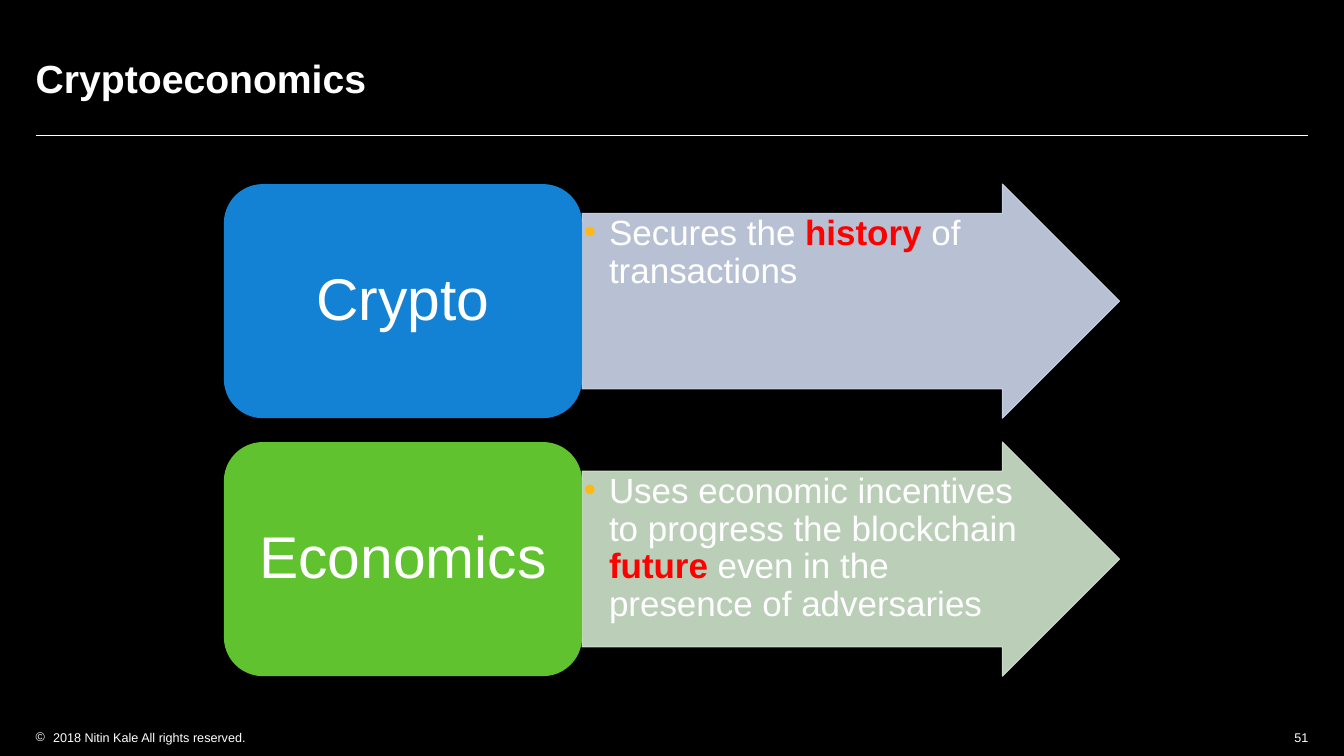
from lxml.etree import SubElement
from pptx import Presentation
from pptx.dml.color import RGBColor
from pptx.enum.shapes import MSO_CONNECTOR, MSO_SHAPE as Preset
from pptx.enum.text import MSO_ANCHOR as Anchor, PP_ALIGN as Align
from pptx.oxml.ns import qn
from pptx.util import Pt

COLORS = {
    "background": "000000",
    "text": "FFFFFF",
    "keyword": "FF0000",
    "bullet": "FDB913",
    "crypto": "1482D4",
    "crypto_arrow": "CCD6EC",
    "economics": "5FC22E",
    "economics_arrow": "D0E6CD",
}
# name, colour key, text before the keyword, keyword, text after it
CONCEPTS = [
    ("Crypto", "crypto", "Secures the ", "history", " of transactions"),
    ("Economics", "economics",
     "Uses economic incentives to progress the blockchain ", "future",
     " even in the presence of adversaries"),
]
WIDTH, HEIGHT, MARGIN = 960.5, 540, 25.5


def rgb(key):
    return RGBColor.from_string(COLORS[key])


def style_run(run, size, color="text", bold=False):
    run.font.name = "Arial"
    run.font.size = Pt(size)
    run.font.bold = bold
    run.font.color.rgb = rgb(color)


def set_frame(frame, anchor, inset_x=0, inset_y=0):
    frame.word_wrap = True
    frame.vertical_anchor = anchor
    frame.margin_left = frame.margin_right = Pt(inset_x)
    frame.margin_top = frame.margin_bottom = Pt(inset_y)


def add_bullet(paragraph, char, color, indent):
    props = paragraph._p.get_or_add_pPr()
    props.set("marL", str(Pt(indent)))
    props.set("indent", str(-Pt(indent)))
    SubElement(SubElement(props, qn("a:buClr")), qn("a:srgbClr"), val=COLORS[color])
    SubElement(props, qn("a:buFont"), typeface="Arial")
    SubElement(props, qn("a:buChar"), char=char)


def add_text(slide, left, top, width, height, text, size, bold=False,
             align=Align.LEFT, anchor=Anchor.TOP):
    frame = slide.shapes.add_textbox(Pt(left), Pt(top), Pt(width), Pt(height)).text_frame
    set_frame(frame, anchor)
    paragraph = frame.paragraphs[0]
    paragraph.text = text
    paragraph.alignment = align
    style_run(paragraph.runs[0], size, bold=bold)
    return paragraph


def add_block(slide, preset, left, top, width, height, color):
    block = slide.shapes.add_shape(preset, Pt(left), Pt(top), Pt(width), Pt(height))
    block.shadow.inherit = False
    block.fill.solid()
    block.fill.fore_color.rgb = rgb(color)
    return block


def add_header(slide, left, top, width, height):
    add_text(slide, left, top, width, height, "Cryptoeconomics", 28, bold=True,
             anchor=Anchor.MIDDLE)
    rule_y = Pt(top + height + 12)
    rule = slide.shapes.add_connector(
        MSO_CONNECTOR.STRAIGHT, Pt(left), rule_y, Pt(left + width), rule_y)
    rule.line.color.rgb = rgb("text")
    rule.line.width = Pt(0.5)
    SubElement(rule._element.spPr, qn("a:effectLst"))


def add_concept(slide, left, top, width, height, concept):
    name, color, before, keyword, after = concept
    name_width = width * 0.4

    # Explanation arrow
    arrow = add_block(slide, Preset.RIGHT_ARROW, left + name_width, top,
                      width - name_width, height, color + "_arrow")
    arrow.adjustments[0] = 0.75
    arrow.adjustments[1] = 0.5
    arrow.line.color.rgb = rgb(color + "_arrow")
    arrow.line.width = Pt(0.79)
    for tint in arrow._element.spPr.iter(qn("a:srgbClr")):
        SubElement(tint, qn("a:alpha"), val="90000")
    set_frame(arrow.text_frame, Anchor.TOP, 1.25, 1.25)
    explanation = arrow.text_frame.paragraphs[0]
    explanation.alignment = Align.LEFT
    explanation.line_spacing = 0.9
    add_bullet(explanation, "•", "bullet", 18)
    for text in (before, keyword, after):
        run = explanation.add_run()
        run.text = text
        is_keyword = text == keyword
        style_run(run, 25, "keyword" if is_keyword else "text", is_keyword)

    # Name box
    box = add_block(slide, Preset.ROUNDED_RECTANGLE, left, top, name_width, height, color)
    box.line.fill.background()
    set_frame(box.text_frame, Anchor.MIDDLE, 12, 6.5)
    label = box.text_frame.paragraphs[0]
    label.text = name
    label.alignment = Align.CENTER
    label.line_spacing = 0.9
    style_run(label.runs[0], 42)


def add_concepts(slide, left, top, width, height, gap=17):
    row_height = (height - gap * (len(CONCEPTS) - 1)) / len(CONCEPTS)
    for row, concept in enumerate(CONCEPTS):
        add_concept(slide, left, top + row * (row_height + gap), width, row_height, concept)


def add_footer(slide, left, top, width, height):
    number_width = 40
    notice = add_text(slide, left, top, width / 2, height,
                      "2018 Nitin Kale All rights reserved.", 9)
    add_bullet(notice, "©", "text", 12.4)
    add_text(slide, left + width - number_width, top, number_width, height, "51", 9,
             align=Align.RIGHT)


def main():
    deck = Presentation()
    deck.slide_width, deck.slide_height = Pt(WIDTH), Pt(HEIGHT)
    slide = deck.slides.add_slide(deck.slide_layouts[6])
    slide.background.fill.solid()
    slide.background.fill.fore_color.rgb = rgb("background")

    content_width = WIDTH - 2 * MARGIN
    add_header(slide, MARGIN, 25.5, content_width, 59.5)
    add_concepts(slide, 160, 131.5, 640, 351.5)
    add_footer(slide, MARGIN, 521.5, content_width, 11)
    deck.save("out.pptx")


if __name__ == "__main__":
    main()
